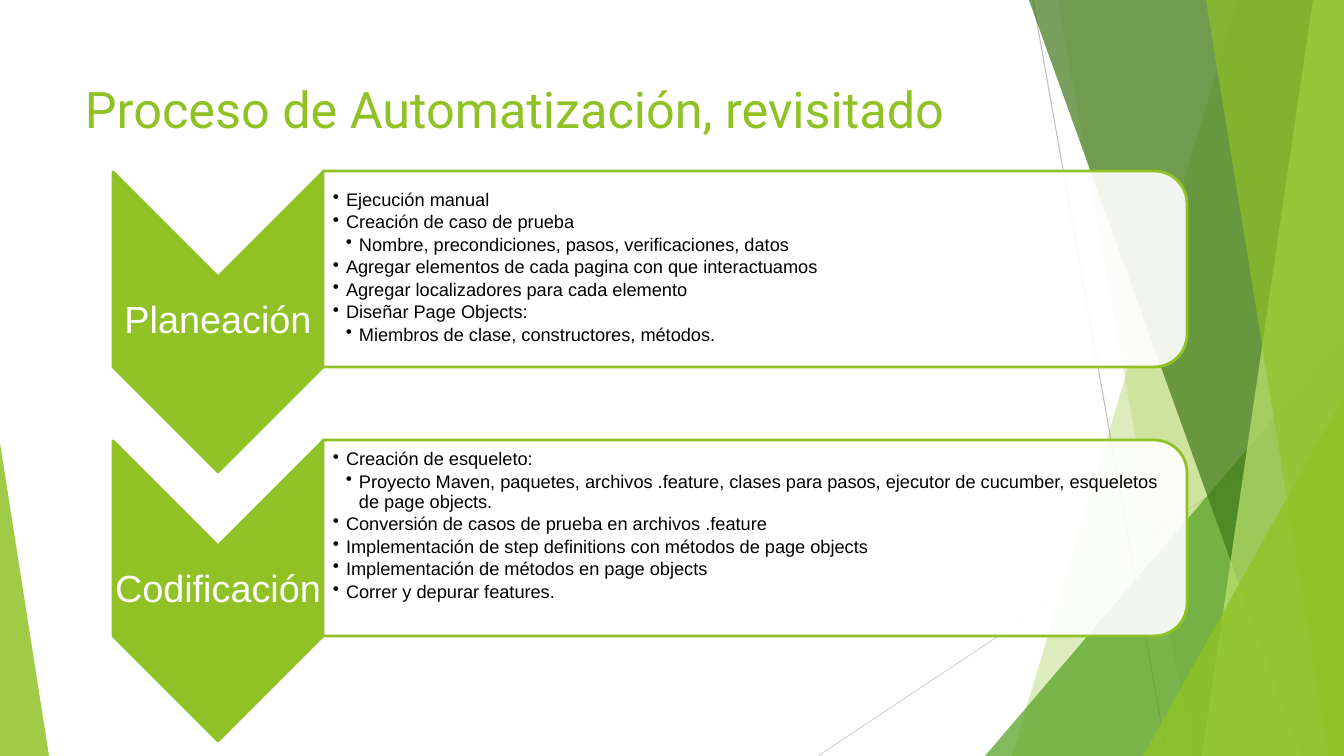
from dataclasses import dataclass

import lxml.etree
import pptx
import pptx.dml.color
import pptx.enum.shapes
import pptx.enum.text
import pptx.oxml.ns
import pptx.util

RGBColor = pptx.dml.color.RGBColor
MSO_SHAPE = pptx.enum.shapes.MSO_SHAPE
ANCHOR = pptx.enum.text.MSO_ANCHOR

LIME = RGBColor(0x90, 0xC2, 0x26)
GREEN = RGBColor(0x54, 0xA0, 0x21)
FOREST = RGBColor(0x3F, 0x78, 0x18)
PALE_LIME = RGBColor(0xBF, 0xE4, 0x71)
GRAY = RGBColor(0xBF, 0xBF, 0xBF)
LIGHT_GRAY = RGBColor(0xD8, 0xD8, 0xD8)
WHITE = RGBColor(0xFF, 0xFF, 0xFF)
BLACK = RGBColor(0x00, 0x00, 0x00)

EMU_PER_PX = 914400 / 100.8
SLIDE_W, SLIDE_H = 1344, 756
STAGE_PITCH = 269
BULLET_INDENT = 13


@dataclass(frozen=True)
class Ray:
    start: tuple[int, int]
    end: tuple[int, int]
    color: RGBColor


@dataclass(frozen=True)
class Facet:
    """A band from a slanted left edge to the right side of the slide."""
    top_x: int
    bottom_x: int
    color: RGBColor
    opacity: int


@dataclass(frozen=True)
class Corner:
    """A right triangle standing on the bottom of the slide."""
    left: int
    top: int
    width: int
    apex: int
    color: RGBColor
    opacity: int


@dataclass(frozen=True)
class Stage:
    name: str
    steps: list[tuple[int, str]]
    bottom_inset: int


RAYS = [
    Ray((1033, 0), (1167, 756), GRAY),
    Ray((1344, 406), (818, 756), LIGHT_GRAY),
]
BACKDROP = [
    Facet(1238, 1012, LIME, 30),
    Facet(1058, 1192, LIME, 20),
    Corner(985, 336, 359, 1, GREEN, 72),
    Facet(1029, 1301, FOREST, 70),
    Facet(1313, 1202, PALE_LIME, 70),
    Facet(1206, 1329, LIME, 65),
    Corner(1143, 396, 201, 1, LIME, 80),
    Corner(0, 443, 49, 0, LIME, 85),
]
STAGES = [
    Stage("Planeación", [
        (1, "Ejecución manual"),
        (1, "Creación de caso de prueba"),
        (2, "Nombre, precondiciones, pasos, verificaciones, datos"),
        (1, "Agregar elementos de cada pagina con que interactuamos"),
        (1, "Agregar localizadores para cada elemento"),
        (1, "Diseñar Page Objects:"),
        (2, "Miembros de clase, constructores, métodos."),
    ], 1),
    Stage("Codificación", [
        (1, "Creación de esqueleto:"),
        (2, "Proyecto Maven, paquetes, archivos .feature, clases para pasos, "
            "ejecutor de cucumber, esqueletos de page objects."),
        (1, "Conversión de casos de prueba en archivos .feature"),
        (1, "Implementación de step definitions con métodos de page objects"),
        (1, "Implementación de métodos en page objects"),
        (1, "Correr y depurar features."),
    ], 23),
]


def px(length: float) -> pptx.util.Emu:
    return pptx.util.Emu(round(length * EMU_PER_PX))


def paint(shape, color: RGBColor, opacity: int = 100, outlined: bool = False) -> None:
    shape.shadow.inherit = False
    shape.fill.solid()
    shape.fill.fore_color.rgb = color
    if opacity < 100:
        srgb = shape.fill._xPr.find(".//" + pptx.oxml.ns.qn("a:srgbClr"))
        alpha = lxml.etree.SubElement(srgb, pptx.oxml.ns.qn("a:alpha"))
        alpha.set("val", str(opacity * 1000))
    if outlined:
        shape.line.color.rgb = LIME
        shape.line.width = pptx.util.Pt(2)
    else:
        shape.line.fill.background()


def draw_ray(slide, ray: Ray) -> None:
    line = slide.shapes.add_connector(
        pptx.enum.shapes.MSO_CONNECTOR.STRAIGHT, *map(px, ray.start + ray.end))
    line.line.color.rgb = ray.color
    line.line.width = pptx.util.Pt(0.75)
    lxml.etree.SubElement(line._element.spPr, pptx.oxml.ns.qn("a:effectLst"))


def draw_facet(slide, facet: Facet) -> None:
    outline = slide.shapes.build_freeform(facet.top_x, 0, scale=EMU_PER_PX)
    outline.add_line_segments(
        [(SLIDE_W, 0), (SLIDE_W, SLIDE_H), (facet.bottom_x, SLIDE_H)], close=True)
    paint(outline.convert_to_shape(), facet.color, facet.opacity)


def draw_corner(slide, corner: Corner) -> None:
    triangle = slide.shapes.add_shape(
        MSO_SHAPE.ISOSCELES_TRIANGLE, px(corner.left), px(corner.top),
        px(corner.width), px(SLIDE_H - corner.top))
    triangle.adjustments[0] = corner.apex
    paint(triangle, corner.color, corner.opacity)


def add_text_frame(slide, box: tuple[int, int, int, int],
                   insets: tuple[int, int, int, int], anchor):
    frame = slide.shapes.add_textbox(*map(px, box)).text_frame
    frame.word_wrap = True
    frame.vertical_anchor = anchor
    (frame.margin_left, frame.margin_top,
     frame.margin_right, frame.margin_bottom) = map(px, insets)
    return frame


def set_font(paragraph, name: str, size: int, color: RGBColor) -> None:
    paragraph.font.name = name
    paragraph.font.size = pptx.util.Pt(size)
    paragraph.font.color.rgb = color


def add_bullet(paragraph, level: int) -> None:
    paragraph.level = level
    properties = paragraph._p.get_or_add_pPr()
    properties.set("marL", str(px(BULLET_INDENT * level)))
    properties.set("indent", str(px(-BULLET_INDENT)))
    bullet = lxml.etree.SubElement(properties, pptx.oxml.ns.qn("a:buChar"))
    bullet.set("char", "•")


def draw_stage(slide, stage: Stage, offset: int) -> None:
    # Chevron and its label
    chevron = slide.shapes.add_shape(
        MSO_SHAPE.CHEVRON, px(68), px(217 + offset), px(300), px(210))
    chevron.rotation = 90
    paint(chevron, LIME, outlined=True)
    label = add_text_frame(
        slide, (113, 276 + offset, 210, 90), (2, 2, 2, 2), ANCHOR.MIDDLE).paragraphs[0]
    label.text = stage.name
    label.alignment = pptx.enum.text.PP_ALIGN.CENTER
    label.line_spacing = 0.9
    set_font(label, "Arial", 27, WHITE)

    # Panel and its steps
    panel = slide.shapes.add_shape(
        MSO_SHAPE.ROUND_2_SAME_RECTANGLE, px(657), px(offset - 163), px(196), px(864))
    panel.rotation = 90
    paint(panel, WHITE, 90, outlined=True)
    steps = add_text_frame(slide, (323, 180 + offset, 854, 176),
                           (10, 1, 1, stage.bottom_inset), ANCHOR.MIDDLE)
    for index, (level, wording) in enumerate(stage.steps):
        step = steps.add_paragraph() if index else steps.paragraphs[0]
        step.text = wording
        step.line_spacing = 0.9
        step.space_after = pptx.util.Pt(2)
        add_bullet(step, level)
        set_font(step, "Arial", 13, BLACK)


def main() -> None:
    deck = pptx.Presentation()
    deck.slide_width, deck.slide_height = px(SLIDE_W), px(SLIDE_H)
    slide = deck.slides.add_slide(deck.slide_layouts[6])

    # Backdrop
    for ray in RAYS:
        draw_ray(slide, ray)
    for piece in BACKDROP:
        if isinstance(piece, Facet):
            draw_facet(slide, piece)
        else:
            draw_corner(slide, piece)

    # Title
    title = add_text_frame(
        slide, (75, 68, 948, 145), (10, 10, 10, 10), ANCHOR.TOP).paragraphs[0]
    title.text = "Proceso de Automatización, revisitado"
    set_font(title, "Roboto", 36, LIME)

    # Process stages
    for index, stage in enumerate(STAGES):
        draw_stage(slide, stage, index * STAGE_PITCH)

    deck.save("out.pptx")


if __name__ == "__main__":
    main()
